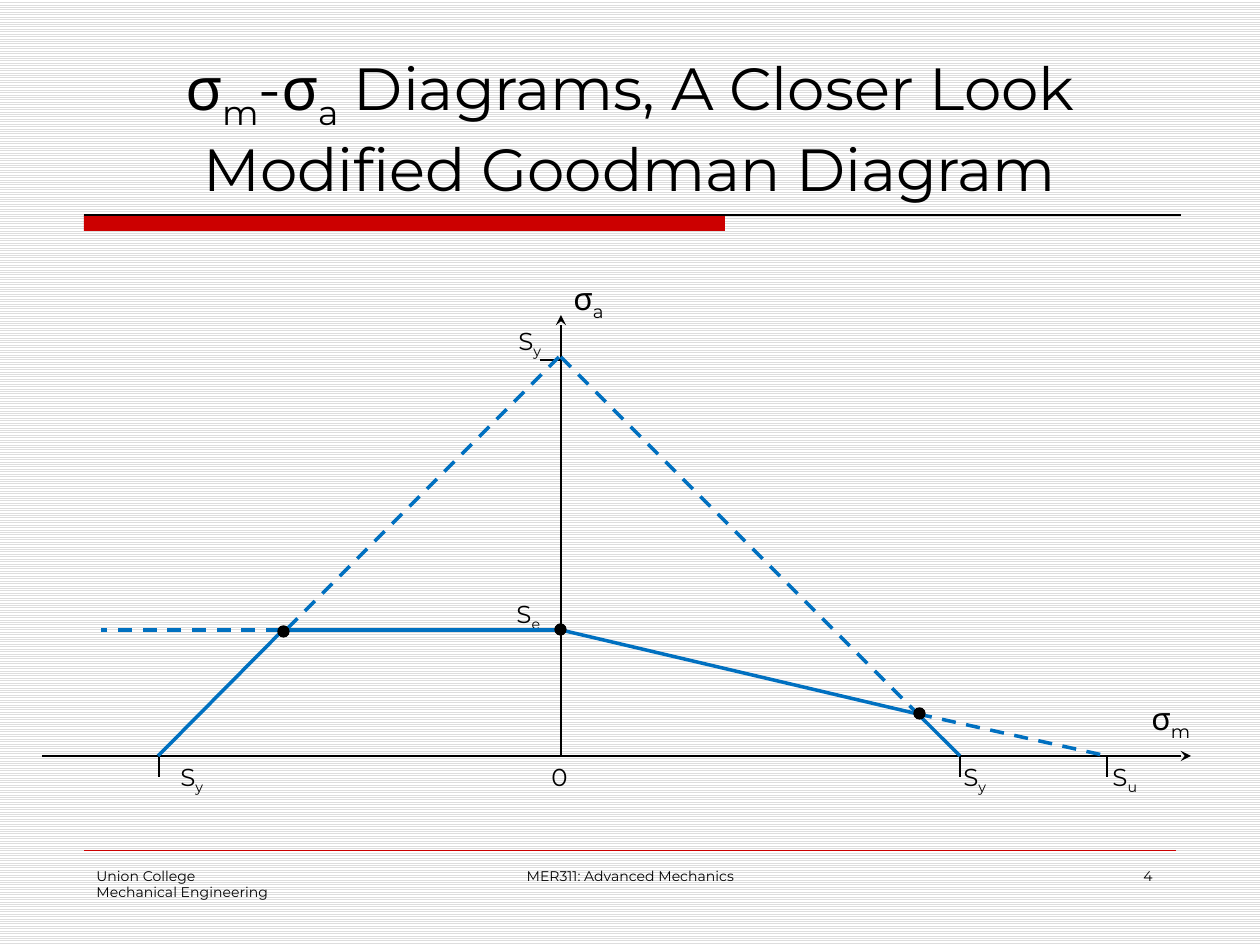
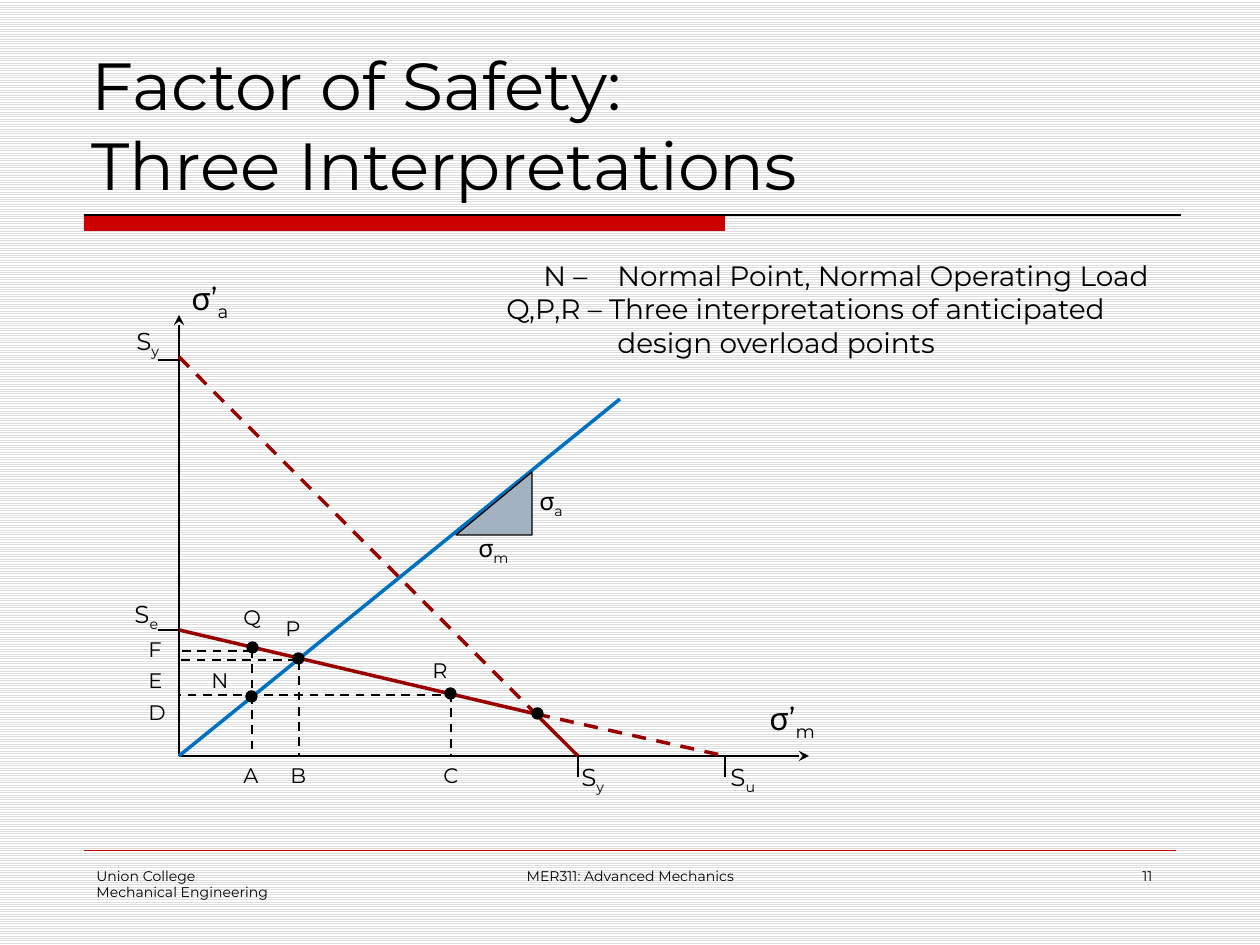
from copy import deepcopy
from typing import NamedTuple

from lxml import etree
from pptx import Presentation
from pptx.dml.color import RGBColor
from pptx.enum.dml import MSO_LINE, MSO_PATTERN
from pptx.enum.shapes import MSO_CONNECTOR, MSO_SHAPE
from pptx.enum.text import MSO_ANCHOR, MSO_AUTO_SIZE, PP_ALIGN
from pptx.oxml.ns import qn
from pptx.util import Emu, Inches, Pt

SCALE = 914400 // 126  # EMU in one px
FONT = "Montserrat"
BLACK = RGBColor(0x00, 0x00, 0x00)
WHITE = RGBColor(0xFF, 0xFF, 0xFF)
STRIPE = RGBColor(0xDD, 0xDD, 0xDD)
RED = RGBColor(0xCC, 0x00, 0x00)
DARK_RED = RGBColor(0x99, 0x00, 0x00)
BLUE = RGBColor(0x00, 0x70, 0xC0)
SLATE = RGBColor(0xA3, 0xB2, 0xC1)

LEFT, CENTER, RIGHT = PP_ALIGN.LEFT, PP_ALIGN.CENTER, PP_ALIGN.RIGHT
BOTTOM = MSO_ANCHOR.BOTTOM
NO_FIT, GROW = MSO_AUTO_SIZE.NONE, MSO_AUTO_SIZE.SHAPE_TO_FIT_TEXT
STRAIGHT = MSO_CONNECTOR.STRAIGHT
DASH = MSO_LINE.DASH
RECT, OVAL, TRIANGLE = MSO_SHAPE.RECTANGLE, MSO_SHAPE.OVAL, MSO_SHAPE.ISOSCELES_TRIANGLE

AXIS_Y = 756  # height of the mean-stress axis
TOP_Y = 357  # yield strength on the vertical axis
ENDURANCE_Y = 630
KNEE_X, YIELD_X, ULTIMATE_X = 357, 399, 546  # measured from the vertical axis
KNEE_Y = 714
DOT = 11
LABEL_HEIGHT = {12: 38, 14: 43, 18: 50}


class Label(NamedTuple):
    text: str
    x: int
    y: int
    w: int = 42
    size: int = 12


class Segment(NamedTuple):
    x1: int
    y1: int
    x2: int
    y2: int
    color: RGBColor = BLACK
    width: float = 1.5
    dashed: bool = False
    arrow: bool = False


def px(n: int) -> Emu:
    return Emu(n * SCALE)


def write(tf, text: str, *, size: int, align=LEFT, anchor=None, wrap=True, fit=NO_FIT) -> None:
    """Newline starts a paragraph, \\v breaks a line, [x] is a subscript."""
    tf.word_wrap, tf.auto_size = wrap, fit
    if anchor is not None:
        tf.vertical_anchor = anchor
    for i, paragraph in enumerate(text.split("\n")):
        p = tf.paragraphs[0] if i == 0 else tf.add_paragraph()
        p.alignment = align
        for j, piece in enumerate(paragraph.replace("]", "[").split("[")):
            for k, line in enumerate(piece.split("\v")):
                if k:
                    br = etree.SubElement(p._p, qn("a:br"))
                    br.append(deepcopy(r._r.rPr))
                if not line:
                    continue
                r = p.add_run()
                r.text = line
                r.font.name, r.font.size = FONT, Pt(size)
                r.font.color.rgb = BLACK
                if j % 2:
                    r._r.get_or_add_rPr().set("baseline", "-25000")


def add_text(s, text: str, x: int, y: int, w: int, h: int, **style):
    tf = s.shapes.add_textbox(px(x), px(y), px(w), px(h)).text_frame
    write(tf, text, **style)
    return tf


def add_labels(s, labels: list[Label]) -> None:
    for a in labels:
        add_text(s, a.text, a.x, a.y, a.w, LABEL_HEIGHT[a.size],
                 size=a.size, wrap=False, fit=GROW)


def add_segments(s, segments: list[Segment]) -> None:
    for g in segments:
        c = s.shapes.add_connector(STRAIGHT, px(g.x1), px(g.y1), px(g.x2), px(g.y2))
        c.line.color.rgb, c.line.width = g.color, Pt(g.width)
        if g.dashed:
            c.line.dash_style = DASH
        if g.arrow:
            etree.SubElement(c.line._get_or_add_ln(), qn("a:tailEnd"), type="stealth")
        etree.SubElement(c._element.spPr, qn("a:effectLst"))


def add_shape(s, kind, x: int, y: int, w: int, h: int, fill: RGBColor, line=None):
    sp = s.shapes.add_shape(kind, px(x), px(y), px(w), px(h))
    sp.shadow.inherit = False
    sp.fill.solid()
    sp.fill.fore_color.rgb = fill
    if line is None:
        sp.line.fill.background()
    else:
        sp.line.color.rgb, sp.line.width = line, Pt(0.75)
    return sp


def add_dots(s, centers: list[tuple[int, int]]) -> None:
    for x, y in centers:
        add_shape(s, OVAL, x - DOT // 2, y - DOT // 2, DOT, DOT, BLACK, BLACK)


def add_base_slide(prs, title: str, number: int, *, size: int, align):
    """Striped background, title, red band and footer."""
    s = prs.slides.add_slide(prs.slide_layouts[5])
    fill = s.background.fill
    fill.patterned()
    fill.pattern = MSO_PATTERN.LIGHT_HORIZONTAL
    fill.fore_color.rgb, fill.back_color.rgb = STRIPE, WHITE

    t = s.shapes.title
    t.left, t.top, t.width, t.height = px(79), px(42), px(1102), px(168)
    write(t.text_frame, title, size=size, align=align, anchor=BOTTOM)

    add_shape(s, RECT, 84, 215, 641, 16, RED)
    add_segments(s, [Segment(84, 215, 1181, 215, BLACK, 0.75),
                     Segment(84, 850, 1176, 850, RED, 0.25)])
    add_text(s, "Union College\nMechanical Engineering", 84, 861, 262, 63, size=8)
    add_text(s, "MER311: Advanced Mechanics", 431, 861, 399, 63, size=8, align=CENTER)
    add_text(s, str(number), 903, 861, 262, 63, size=8, align=RIGHT)
    return s


def add_goodman(s, x0: int, axis_start: int, axis_end: int, sigma: str, color: RGBColor) -> None:
    """Axes, ticks and the positive mean-stress side; x0 is the vertical axis."""
    knee, yield_x, ultimate = x0 + KNEE_X, x0 + YIELD_X, x0 + ULTIMATE_X
    add_segments(s, [
        Segment(x0, AXIS_Y, x0, 315, arrow=True),
        Segment(axis_start, AXIS_Y, axis_end, AXIS_Y, arrow=True),
    ])
    add_segments(s, [Segment(x0 - 21, y, x0, y) for y in (360, ENDURANCE_Y)])
    add_segments(s, [Segment(x, 757, x, 777) for x in (yield_x, ultimate)])
    add_segments(s, [
        Segment(x0, ENDURANCE_Y, knee, KNEE_Y, color, 2),
        Segment(knee, KNEE_Y, yield_x, AXIS_Y, color, 2),
        Segment(x0, TOP_Y, knee, KNEE_Y, color, 2, True),
        Segment(knee, KNEE_Y, ultimate, AXIS_Y, color, 2, True),
    ])
    extra = 9 * (len(sigma) - 1)
    add_labels(s, [
        Label("S[y]", x0 - 55, 320, 53, 14),
        Label("S[e]", x0 - 57, 593, 54, 14),
        Label("S[y]", x0 + 390, AXIS_Y, 53, 14),
        Label("S[u]", x0 + 539, AXIS_Y, 54, 14),
        Label(f"{sigma}[a]", x0, 273, 63 + extra, 18),
        Label(f"{sigma}[m]", axis_end - 52, 693, 71 + extra, 18),
    ])
    add_dots(s, [(knee + 1, 713)])


def build_goodman_slide(prs) -> None:
    s = add_base_slide(prs, "σ[m]-σ[a] Diagrams, A Closer Look\vModified Goodman Diagram", 4,
                       size=34, align=CENTER)
    x0 = 561
    add_goodman(s, x0, 42, 1191, "σ", BLUE)

    # Compressive side
    add_segments(s, [
        Segment(557, ENDURANCE_Y, 283, ENDURANCE_Y, BLUE, 2),
        Segment(283, ENDURANCE_Y, 158, AXIS_Y, BLUE, 2),
        Segment(559, TOP_Y, 286, ENDURANCE_Y, BLUE, 2, True),
        Segment(280, ENDURANCE_Y, 101, ENDURANCE_Y, BLUE, 2, True),
        Segment(159, 757, 159, 777),
    ])
    add_dots(s, [(283, 631), (560, 629)])
    add_labels(s, [Label("S[y]", 168, AXIS_Y, 53, 14), Label("0", 539, AXIS_Y, 42, 14)])


def build_safety_slide(prs) -> None:
    s = add_base_slide(prs, "Factor of Safety:\vThree Interpretations", 11, size=38, align=LEFT)
    x0 = 179
    add_goodman(s, x0, x0, 809, "σ’", DARK_RED)

    # Load line with its slope triangle
    add_segments(s, [Segment(x0, AXIS_Y, 620, 399, BLUE, 2)])
    slope = add_shape(s, TRIANGLE, 456, 472, 76, 63, SLATE, BLACK)
    slope.adjustments[0] = 1
    add_labels(s, [Label("σ[a]", 527, 480, 55, 14), Label("σ[m]", 466, 527, 60, 14)])

    # Guides from the operating and overload points to the axes
    drops = [(252, 649), (299, 661), (451, 693)]
    reaches = [(252, 651), (297, 660), (456, 695)]
    add_segments(s, [Segment(x, y, x, AXIS_Y, width=1.25, dashed=True) for x, y in drops])
    add_segments(s, [Segment(x, y, x0, y, width=1.25, dashed=True) for x, y in reaches])
    add_dots(s, [(251, 696), (252, 647), (298, 658), (450, 693)])
    add_labels(s, [
        Label("A", 231, AXIS_Y), Label("B", 278, AXIS_Y), Label("C", 431, AXIS_Y),
        Label("D", 136, 693), Label("E", 136, 661), Label("F", 136, 630),
        Label("Q", 231, 598), Label("P", 273, 609), Label("R", 420, 651), Label("N", 199, 661),
    ])

    # Key to the points, with hanging indents
    tf = add_text(s, "N –\tNormal Point, Normal Operating Load\n"
                  "Q,P,R – Three interpretations of anticipated design overload points",
                  494, 252, 725, 115, size=16, fit=GROW)
    hang = px(111)
    for p, start in zip(tf.paragraphs, (px(37), 0)):
        pPr = p._p.get_or_add_pPr()
        pPr.set("marL", str(hang))
        pPr.set("indent", str(start - hang))
        tabs = etree.SubElement(pPr, qn("a:tabLst"))
        etree.SubElement(tabs, qn("a:tab"), pos=str(hang), algn="l")


def main() -> None:
    prs = Presentation()
    prs.slide_width, prs.slide_height = Inches(10), Inches(7.5)
    build_goodman_slide(prs)
    build_safety_slide(prs)
    prs.save("out.pptx")


if __name__ == "__main__":
    main()
